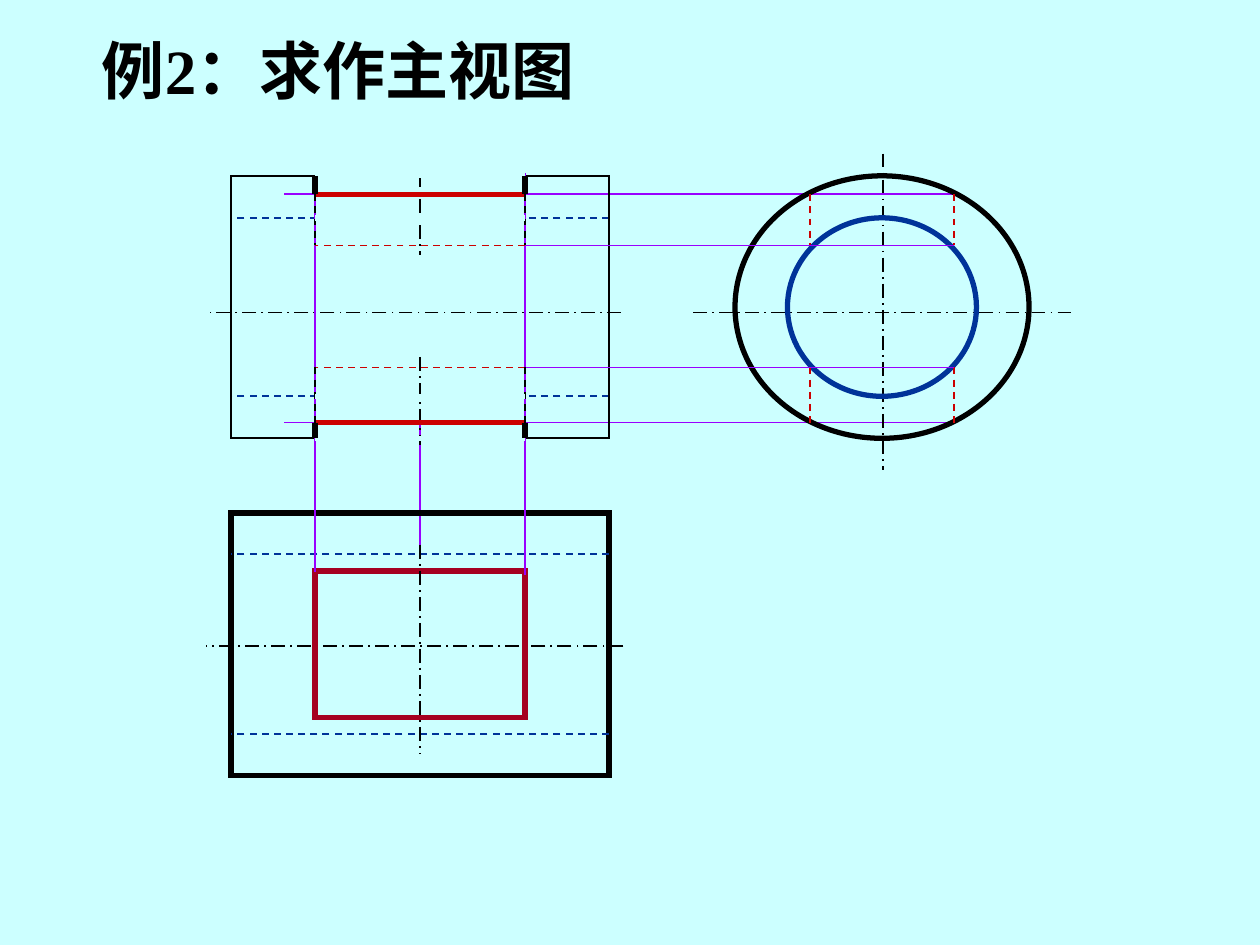
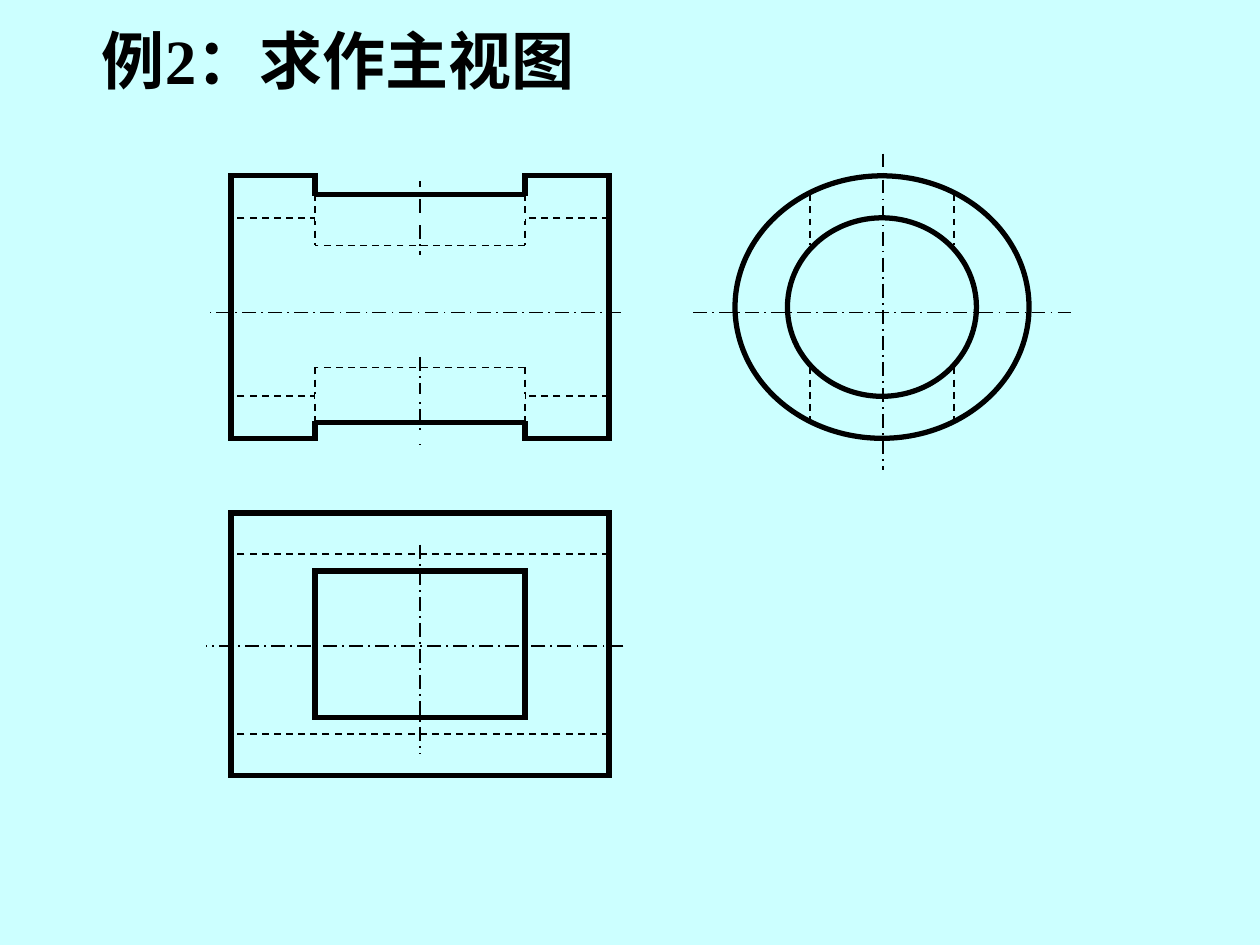
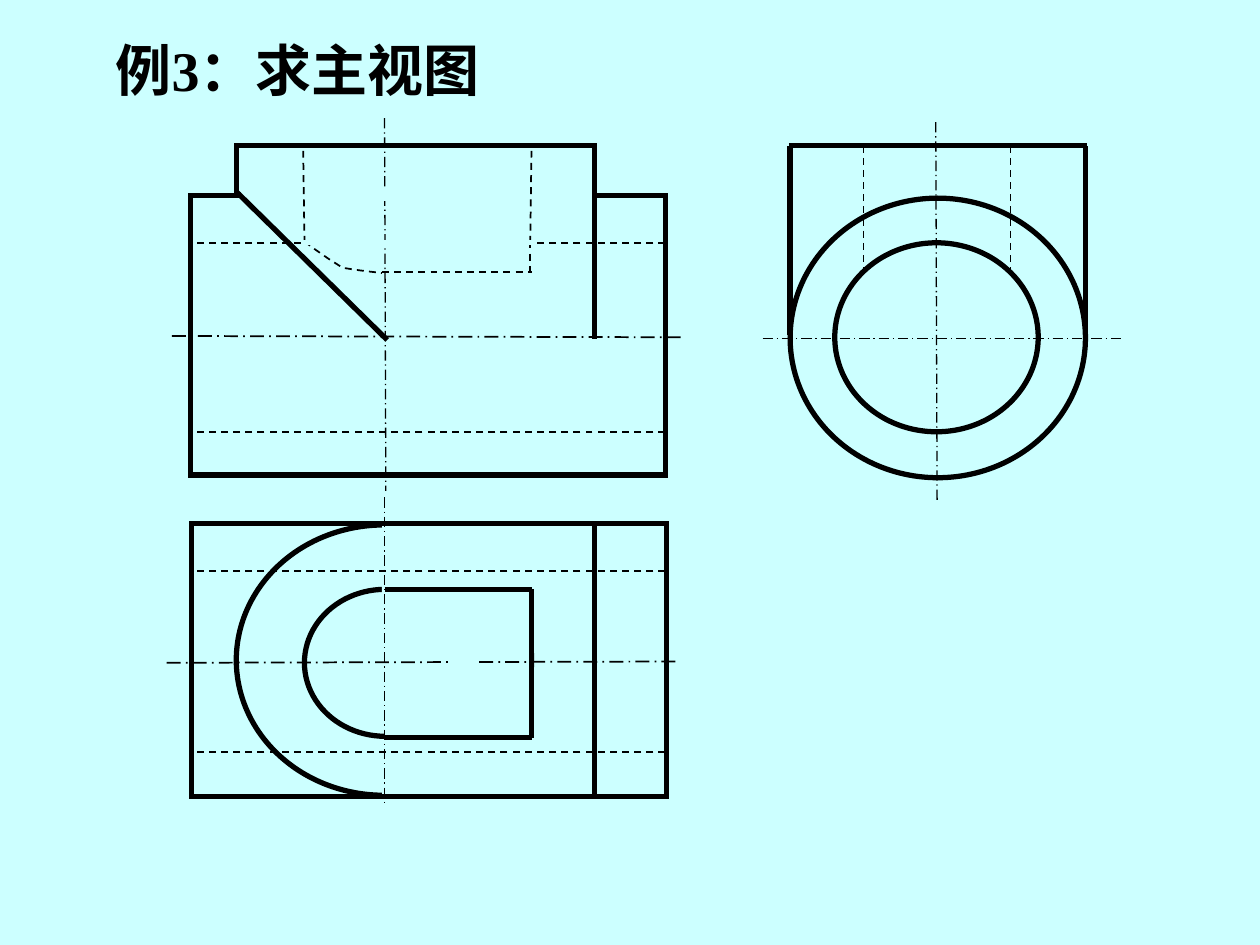
from lxml import etree
from pptx import Presentation
from pptx.dml.color import RGBColor
from pptx.enum.dml import MSO_LINE_DASH_STYLE as Dash
from pptx.enum.shapes import MSO_CONNECTOR_TYPE as Connector, MSO_SHAPE as Shape
from pptx.enum.text import MSO_ANCHOR as Anchor, MSO_AUTO_SIZE as AutoSize
from pptx.oxml.ns import qn
from pptx.util import Inches, Pt

PAPER, INK = "CCFFFF", "000000"
PURPLE, RED, BLUE, MAROON = "9900FF", "CC0000", "003399", "A50021"
FONT = "Times New Roman"
GRID = 96  # drawing grid steps per inch

# Line styles: colour, width in points, dash
SHARED = {
    "edge": (INK, 3, None),
    "hidden": (INK, 1, Dash.DASH),
    "axis": (INK, 1, Dash.LONG_DASH_DOT),
    "fine axis": (INK, 0.75, Dash.LONG_DASH_DOT),
    "projection": (PURPLE, 1, None),
    "erase": (PAPER, 3, None),
    "wide erase": (PAPER, 6, None),
}
COLOURED = SHARED | {
    "front": (INK, 1, None),
    "bore": (BLUE, 3, None),
    "hidden bore": (BLUE, 1, Dash.DASH),
    "opening": (MAROON, 3, None),
    "cut": (RED, 3, None),
    "hidden cut": (RED, 1, Dash.DASH),
    "notch erase": SHARED["erase"],
}
FINISHED = SHARED | {
    "front": SHARED["edge"],
    "bore": SHARED["edge"],
    "hidden bore": SHARED["hidden"],
    "opening": SHARED["edge"],
    "cut": SHARED["edge"],
    "hidden cut": SHARED["hidden"],
    "notch erase": SHARED["wide erase"],
}

# Example 2: key positions of the square hole through the tube
HOLE_X = (4.17, 2.5)
CUT_Y = (1.54, 3.35)
INNER_Y = (1.95, 2.92)
BORE_Y = (1.73, 3.15)
OUTER_Y = (1.4, 3.48)
SIDE_X = (6.43, 7.57)

# Parts: kind, style, then from x, y to x, y for a line,
# or left, top, width, height for a rectangle or ellipse
BACK_PROJECTIONS = [("line", "projection", 3.33, 4.4, 3.33, 3.35)] + [
    ("line", "projection", 7.57, y, 2.25, y) for y in CUT_Y]

VIEWS = [
    # Side view
    ("line", "axis", 5.5, 2.48, 8.5, 2.48),
    ("line", "axis", 7.01, 1.22, 7.01, 3.73),
    ("ellipse", "edge", 5.83, 1.4, 2.33, 2.08),
    ("ellipse", "bore", 6.25, 1.73, 1.5, 1.42),
    *[("line", "hidden cut", x, top, x, bottom)
      for x in SIDE_X for top, bottom in ((1.54, 1.95), (2.92, 3.35))],
    # Top view
    ("line", "axis", 4.95, 5.13, 1.64, 5.13),
    ("rect", "edge", 1.83, 4.07, 3, 2.08),
    ("rect", "opening", 2.5, 4.53, 1.67, 1.17),
    *[("line", "hidden bore", 4.83, y, 1.83, y) for y in (4.4, 5.82)],
    ("line", "axis", 3.33, 4.32, 3.33, 5.98),
    # Front view
    *[("line", "hidden bore", 4.83, y, 1.83, y) for y in BORE_Y],
    ("rect", "front", 1.83, 1.4, 3, 2.08),
    ("line", "axis", 4.93, 2.48, 1.67, 2.48),
    ("line", "axis", 3.33, 1.37, 3.33, 2.02),
    ("line", "axis", 3.33, 2.83, 3.33, 3.53),
]

FRONT_PROJECTIONS = [
    ("line", "projection", 4.17, 4.56, 4.17, 1.38),
    ("line", "projection", 2.5, 4.54, 2.5, 1.44),
] + [("line", "projection", 7.57, y, 4.17, y) for y in INNER_Y]


def notch(overlap):
    """Parts that cut the hole into the front view."""
    top, bottom = OUTER_Y
    upper, lower = CUT_Y
    return [
        *[("line", "cut", 2.5, y, 4.17, y) for y in CUT_Y],
        *[("line", "notch erase", 2.5, y, 4.17, y) for y in OUTER_Y],
        *[("line", "edge", x, top - overlap, x, upper + overlap / 2)
          for x in HOLE_X],
        *[("line", "edge", x, lower - overlap / 2, x, bottom + overlap)
          for x in HOLE_X],
        *[("line", "hidden cut", 4.17, y, 2.5, y) for y in INNER_Y],
        *[("line", "hidden", x, 1.54, x, 1.95) for x in HOLE_X],
        *[("line", "hidden", x, 2.92, x, 3.35) for x in HOLE_X],
        *[("line", "erase", 2.5, y, 4.17, y) for y in BORE_Y],
    ]


# Example 3
BORE_CURVE = [(2.42, 1.92), (2.5, 1.98), (2.6, 2.05), (2.72, 2.12),
              (2.78, 2.14), (2.85, 2.15), (2.94, 2.16), (3.03, 2.17)]
SLOT_ERASER = [
    (3.05, 4.63), (3.05, 4.78), (3.3, 4.78), (3.43, 4.92), (3.62, 5.13),
    (3.6, 5.3), (3.58, 5.48), (3.48, 5.65), (3.3, 5.73), (3.2, 5.8),
    (3.07, 5.82), (3.08, 5.92), (3.38, 5.87), (3.57, 5.7), (3.75, 5.43),
    (3.75, 5.22), (3.72, 4.97), (3.57, 4.78), (3.32, 4.63)]

BRANCHED_TUBE = [
    ("curve", "hidden", BORE_CURVE),
    ("line", "hidden", 3.03, 2.16, 4.22, 2.16),
    # Top view: half round of the branch
    ("ellipse", "edge", 1.88, 4.17, 2.34, 2.15),
    ("patch", "erase", 3.05, 4.14, 1.17, 2.19),
    # Side view
    ("line", "fine axis", 6.05, 2.69, 8.9, 2.69),
    ("line", "fine axis", 7.43, 0.97, 7.44, 3.97),
    ("ellipse", "edge", 6.27, 1.57, 2.34, 2.22),
    *[("line", "edge", x, 2.66, x, 1.16) for x in (6.27, 8.61)],
    ("line", "edge", 6.26, 1.16, 8.63, 1.16),
    ("ellipse", "edge", 6.63, 1.93, 1.61, 1.5),
    *[("line", "hidden", x, 1.16, x, 2.17) for x in (6.85, 8.02)],
    # Top view: outline and slot
    ("line", "axis", 1.32, 5.26, 5.39, 5.25),
    ("rect", "edge", 1.52, 4.16, 3.77, 2.17),
    ("ellipse", "edge", 2.42, 4.68, 1.28, 1.17),
    # Front view: outline
    ("line", "axis", 1.36, 2.67, 5.42, 2.68),
    ("rect", "edge", 1.51, 1.55, 3.77, 2.22),
    ("rect", "edge", 1.88, 1.16, 2.84, 0.39),
    ("line", "fine axis", 3.05, 0.94, 3.06, 3.9),
    ("line", "wide erase", 1.92, 1.55, 4.7, 1.55),
    ("line", "edge", 1.88, 1.52, 3.07, 2.7),
    # Top view: details
    *[("line", "hidden", 5.28, y, 1.52, y) for y in (4.53, 5.97)],
    ("line", "edge", 4.72, 4.15, 4.72, 6.32),
    ("outline", "erase", SLOT_ERASER),
    ("line", "fine axis", 3.05, 3.95, 3.05, 6.39),
    *[("line", "edge", 3.05, y, 4.22, y) for y in (4.68, 5.85)],
    ("line", "edge", 4.22, 4.68, 4.22, 5.85),
    # Front view: details
    ("line", "edge", 4.72, 1.52, 4.72, 2.69),
    *[("line", "hidden", 5.28, y, 1.52, y) for y in (1.93, 3.43)],
    ("line", "hidden", 2.42, 1.93, 2.41, 1.18),
    ("line", "hidden", 4.21, 1.93, 4.22, 1.16),
    ("line", "hidden", 4.21, 1.92, 4.21, 2.17),
    ("line", "erase", 2.41, 1.93, 4.22, 1.93),
]

# Title text, its format, line styles and parts of each page
PAGES = [
    ("例2：求作主视图", dict(box=(0.71, 0.2, 4.19, 0.7), size=36), COLOURED,
     BACK_PROJECTIONS + VIEWS + FRONT_PROJECTIONS + notch(0)),
    ("例2：求作主视图", dict(box=(0.71, 0.12, 4.19, 0.7), size=36), FINISHED,
     VIEWS + notch(0.02)),
    ("例3：求主视图", dict(box=(0.82, 0.23, 3.34, 0.64), size=32,
                      anchor=Anchor.MIDDLE), SHARED, BRANCHED_TUBE),
]


def color(value):
    return RGBColor.from_string(value)


def snap(value):
    """Length in inches, moved to the nearest step of the drawing grid."""
    return Inches(round(value * GRID) / GRID)


def add_title(page, text, box, size, anchor=Anchor.TOP):
    frame = page.shapes.add_textbox(*map(Inches, box)).text_frame
    frame.word_wrap = False
    frame.auto_size = AutoSize.SHAPE_TO_FIT_TEXT
    frame.vertical_anchor = anchor
    span = frame.paragraphs[0].add_run()
    span.text = text
    span.font.name = FONT
    span.font.size = Pt(size)
    span.font.bold = True
    span.font.color.rgb = color(INK)


def add_path(page, points, close):
    start, *rest = [(snap(x), snap(y)) for x, y in points]
    builder = page.shapes.build_freeform(*start)
    builder.add_line_segments(rest, close=close)
    return builder.convert_to_shape()


def set_line(part, tone, width, dash):
    part.line.color.rgb = color(tone)
    part.line.width = Pt(width)
    if dash:
        part.line.dash_style = dash
    # Sharp corners
    outline = part.element.spPr.find(qn("a:ln"))
    etree.SubElement(outline, qn("a:miter"), lim="800000")


def add_part(page, kind, style, *place):
    if kind == "line":
        part = page.shapes.add_connector(Connector.STRAIGHT, *map(snap, place))
        set_line(part, *style)
        etree.SubElement(part.element.spPr, qn("a:effectLst"))
        return
    if kind in ("curve", "outline"):
        part = add_path(page, place[0], close=kind == "outline")
    else:
        preset = Shape.OVAL if kind == "ellipse" else Shape.RECTANGLE
        part = page.shapes.add_shape(preset, *map(snap, place))
    part.shadow.inherit = False
    if kind in ("patch", "outline"):
        part.fill.solid()
        part.fill.fore_color.rgb = color(PAPER)
    else:
        part.fill.background()
    set_line(part, *style)


def main():
    deck = Presentation()
    deck.slide_width, deck.slide_height = Inches(10), Inches(7.5)
    paper = deck.slide_master.background.fill
    paper.solid()
    paper.fore_color.rgb = color(PAPER)
    for text, title_format, styles, parts in PAGES:
        page = deck.slides.add_slide(deck.slide_layouts[6])
        for kind, style, *place in parts:
            add_part(page, kind, styles[style], *place)
        add_title(page, text, **title_format)
    deck.save("out.pptx")


if __name__ == "__main__":
    main()
